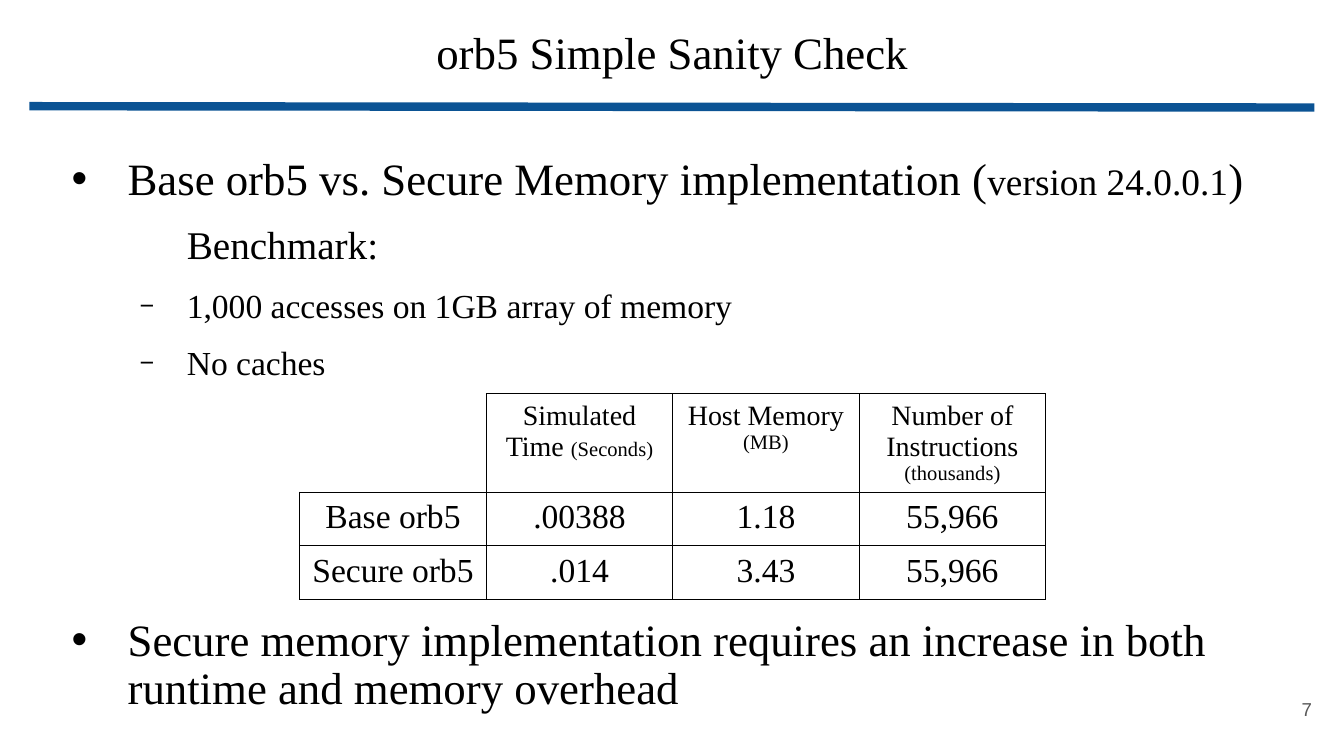
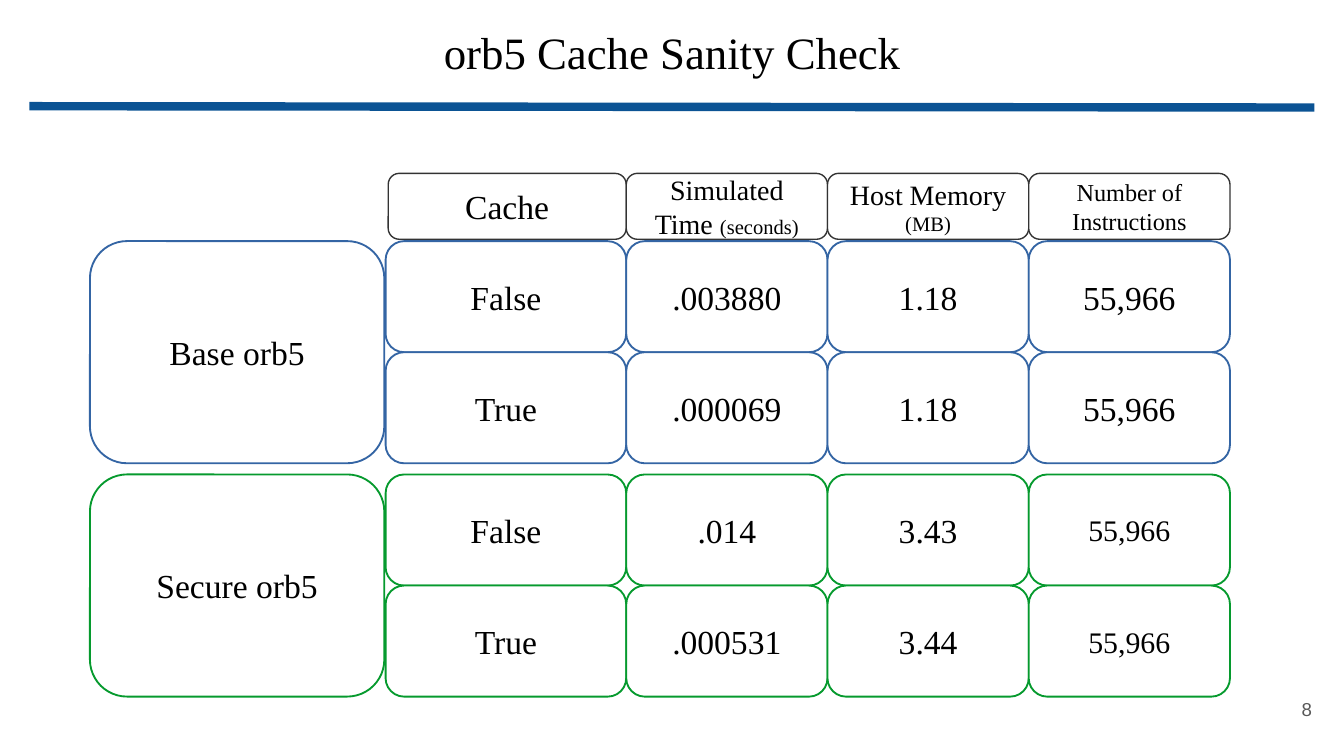
from collections import namedtuple
from dataclasses import dataclass
from itertools import accumulate

from lxml.etree import SubElement
from pptx import Presentation
from pptx.dml.color import RGBColor as Rgb
from pptx.enum.shapes import MSO_CONNECTOR as Connector, MSO_SHAPE as Shape
from pptx.enum.text import MSO_ANCHOR as Anchor, MSO_AUTO_SIZE as AutoSize, PP_ALIGN as Align
from pptx.oxml.ns import qn
from pptx.util import Pt

Box = namedtuple("Box", "left top width height")
Run = namedtuple("Run", "text size")


@dataclass(frozen=True)
class Theme:
    """Colours, fonts and type sizes of the deck."""

    ink: str = "000000"
    paper: str = "FFFFFF"
    rule: str = "0B5394"
    page_number: str = "595959"
    base: str = "3465A4"
    secure: str = "069A2E"
    header_line: str = "333333"
    serif: str = "Times New Roman"
    sans: str = "Arial"
    heading: float = 24
    version: float = 20
    subheading: float = 21
    text: float = 18
    count: float = 16
    header: float = 15
    small_header: float = 13
    unit: float = 11
    footer: float = 10


THEME = Theme()
SLIDE = Box(0, 0, 720, 405)
TITLE = Box(117.4, 13.7, 485.3, 72)
RULE = Box(15.8, 56.9, 688.4, 0.7)
PAGE_NUMBER = Box(667.4, 365, 42.5, 30.2)
POINTS = Box(27.4, 81, 660.2, 315)
RESULTS = Box(160.6, 211, 399.6, 110.2)
CACHE_GRID = Box(48.2, 92.9, 610.6, 280.8)

SIMULATOR = "orb5"
BASE_LABEL = f"Base {SIMULATOR}"
SECURE_LABEL = f"Secure {SIMULATOR}"
SIMULATED_TIME = "Simulated Time "
HOST_MEMORY = Run("Host Memory ", THEME.header), Run("(MB)", THEME.unit)
INSTRUCTIONS = "Number of Instructions"
RESULT_ROWS = [
    (BASE_LABEL, ".00388", "1.18", "55,966"),
    (SECURE_LABEL, ".014", "3.43", "55,966"),
]
CACHE_GROUPS = [
    (BASE_LABEL, THEME.base, THEME.text, [
        ("False", ".003880", "1.18", "55,966"),
        ("True", ".000069", "1.18", "55,966"),
    ]),
    (SECURE_LABEL, THEME.secure, THEME.count, [
        ("False", ".014", "3.43", "55,966"),
        ("True", ".000531", "3.44", "55,966"),
    ]),
]


def write_text(paragraph, *runs, align=Align.LEFT, font=THEME.serif, color=THEME.ink,
               spacing=1.0, before=0, indent=0, hanging=0, level=0, bullet=None,
               bullet_size=100):
    """Write runs into a paragraph and format both."""
    paragraph.alignment = align
    paragraph.line_spacing = spacing
    paragraph.space_before = Pt(before)
    paragraph.level = level
    properties = paragraph._p.get_or_add_pPr()
    properties.set("marL", str(Pt(indent)))
    properties.set("indent", str(Pt(-hanging)))
    if bullet:
        bullet_color = SubElement(properties, qn("a:buClr"))
        SubElement(bullet_color, qn("a:srgbClr"), val=color)
        SubElement(properties, qn("a:buSzPct"), val=str(bullet_size * 1000))
        SubElement(properties, qn("a:buFont"), typeface=THEME.sans)
        SubElement(properties, qn("a:buChar"), char=bullet)
    else:
        SubElement(properties, qn("a:buNone"))
    for text, size in runs:
        run = paragraph.add_run()
        run.text = text
        run.font.name = font
        run.font.size = Pt(size)
        run.font.color.rgb = Rgb.from_string(color)


def set_frame(frame, anchor, side, end):
    """Set the anchor and margins of a wrapping text frame."""
    frame.word_wrap = True
    frame.auto_size = AutoSize.NONE
    frame.vertical_anchor = anchor
    frame.margin_left = frame.margin_right = Pt(side)
    frame.margin_top = frame.margin_bottom = Pt(end)


def in_points(box):
    """Convert a box to slide lengths."""
    return [Pt(round(length, 2)) for length in box]


def add_text_box(slide, box, anchor, side, end):
    """Add an empty text box and return its frame."""
    frame = slide.shapes.add_textbox(*in_points(box)).text_frame
    set_frame(frame, anchor, side, end)
    return frame


def start_slide(deck, heading, number):
    """Add a slide with its title, rule and page number."""
    slide = deck.slides.add_slide(deck.slide_layouts[5])
    title = slide.shapes.title
    title.left, title.top, title.width, title.height = in_points(TITLE)
    set_frame(title.text_frame, Anchor.TOP, 5, 2.9)
    write_text(title.text_frame.paragraphs[0], Run(heading, THEME.heading),
               align=Align.CENTER, spacing=0.9)

    rule = slide.shapes.add_connector(
        Connector.STRAIGHT, Pt(RULE.left), Pt(RULE.top),
        Pt(RULE.left + RULE.width), Pt(RULE.top + RULE.height))
    rule.line.color.rgb = Rgb.from_string(THEME.rule)
    rule.line.width = Pt(4.5)
    SubElement(rule._element.spPr, qn("a:effectLst"))

    footer = add_text_box(slide, PAGE_NUMBER, Anchor.MIDDLE, 7.2, 7.2)
    write_text(footer.paragraphs[0], Run(str(number), THEME.footer), align=Align.RIGHT,
               font=THEME.sans, color=THEME.page_number)
    return slide


def add_points(slide, box):
    """Add the bullets above and below the results table."""
    main_point = dict(indent=36, hanging=30, bullet="•")
    detail = dict(indent=67.7, hanging=25.2, bullet="−", bullet_size=75, level=1, before=11.3)
    points = [
        ([Run(f"{BASE_LABEL} vs. Secure Memory implementation (", THEME.heading),
          Run("version 24.0.0.1", THEME.version), Run(")", THEME.heading)], main_point),
        ([Run("Benchmark:", THEME.subheading)], dict(indent=67.7, before=11.3)),
        ([Run("1,000 accesses on 1GB array of memory", THEME.text)], detail),
        ([Run("No caches", THEME.text)], detail),
        ([Run("Secure memory implementation requires an increase in both "
              "runtime and memory overhead", THEME.heading)], dict(main_point, before=125.5)),
    ]
    frame = add_text_box(slide, box, Anchor.TOP, 5, 2.9)
    for index, (runs, layout) in enumerate(points):
        paragraph = frame.add_paragraph() if index else frame.paragraphs[0]
        write_text(paragraph, *runs, spacing=0.9, **layout)


def set_borders(cell, hidden=()):
    """Draw thin cell borders, leaving out the hidden sides."""
    properties = cell._tc.get_or_add_tcPr()
    for position, side in enumerate(("lnL", "lnR", "lnT", "lnB")):
        border = properties.makeelement(qn(f"a:{side}"), {"w": str(Pt(0.57))})
        properties.insert(position, border)
        if side in hidden:
            SubElement(border, qn("a:noFill"))
        else:
            fill = SubElement(border, qn("a:solidFill"))
            SubElement(fill, qn("a:srgbClr"), val=THEME.ink)


def add_results(slide, box):
    """Add the table that compares both versions."""
    header = [
        (),
        (Run(SIMULATED_TIME, THEME.header), Run("(Seconds)", THEME.unit)),
        HOST_MEMORY,
        (Run(INSTRUCTIONS + " ", THEME.header), Run("(thousands)", THEME.unit)),
    ]
    rows = [header] + [[(Run(value, THEME.text),) for value in row] for row in RESULT_ROWS]
    row_height = 28.8
    heights = [box.height - row_height * len(RESULT_ROWS)] + [row_height] * len(RESULT_ROWS)
    table = slide.shapes.add_table(len(rows), len(header), *in_points(box)).table
    table.first_row = table.horz_banding = False
    for column in table.columns:
        column.width = Pt(box.width / len(header))
    for row_index, (row, height) in enumerate(zip(rows, heights)):
        table.rows[row_index].height = Pt(height)
        for column_index, runs in enumerate(row):
            cell = table.cell(row_index, column_index)
            cell.fill.background()
            cell.margin_left = cell.margin_right = Pt(2.9)
            cell.margin_top = cell.margin_bottom = Pt(3.6)
            set_borders(cell, () if runs else ("lnL", "lnT"))
            write_text(cell.text_frame.paragraphs[0], *runs, align=Align.CENTER)


def add_tile(slide, box, *runs, outline, weight=1, side=7.9, end=4.3):
    """Add an outlined rounded tile with centred text."""
    tile = slide.shapes.add_shape(Shape.ROUNDED_RECTANGLE, *in_points(box))
    tile.shadow.inherit = False
    tile.fill.solid()
    tile.fill.fore_color.rgb = Rgb.from_string(THEME.paper)
    tile.line.color.rgb = Rgb.from_string(outline)
    tile.line.width = Pt(weight)
    set_frame(tile.text_frame, Anchor.MIDDLE, side, end)
    write_text(tile.text_frame.paragraphs[0], *runs, align=Align.CENTER)


def add_cache_grid(slide, box):
    """Add the tiles that compare runs with and without a cache."""
    label_width, header_height, row_height, group_pitch = 157.7, 35.3, 59.5, 125
    widths = [128.9] + [107.8] * 3
    lefts = list(accumulate(widths[:-1], initial=box.left + label_width + 0.7))
    body_top = box.top + header_height + 1
    headers = [
        (Run("Cache", THEME.text),),
        (Run(SIMULATED_TIME, THEME.header), Run("(seconds)", THEME.unit)),
        HOST_MEMORY,
        (Run(INSTRUCTIONS, THEME.small_header),),
    ]

    for group_index, (label, outline, count_size, rows) in enumerate(CACHE_GROUPS):
        group_top = body_top + group_index * group_pitch
        add_tile(slide, Box(box.left, group_top, label_width, row_height * len(rows)),
                 Run(label, THEME.text), outline=outline)
        sizes = [THEME.text] * 3 + [count_size]
        for row_index, row in enumerate(rows):
            top = group_top + row_index * row_height
            for left, width, value, size in zip(lefts, widths, row, sizes):
                add_tile(slide, Box(left, top, width, row_height), Run(value, size),
                         outline=outline)

    inset = 1.4
    for index, (left, width, runs) in enumerate(zip(lefts, widths, headers)):
        shift = 0 if index else inset
        add_tile(slide, Box(left + shift, box.top, width - shift, header_height), *runs,
                 outline=THEME.header_line, weight=0, side=7.2, end=3.6)


def main():
    """Build and save the deck."""
    deck = Presentation()
    deck.slide_width, deck.slide_height = Pt(SLIDE.width), Pt(SLIDE.height)

    simple_check = start_slide(deck, f"{SIMULATOR} Simple Sanity Check", 7)
    add_points(simple_check, POINTS)
    add_results(simple_check, RESULTS)

    cache_check = start_slide(deck, f"{SIMULATOR} Cache Sanity Check", 8)
    add_cache_grid(cache_check, CACHE_GRID)

    deck.save("out.pptx")


if __name__ == "__main__":
    main()
